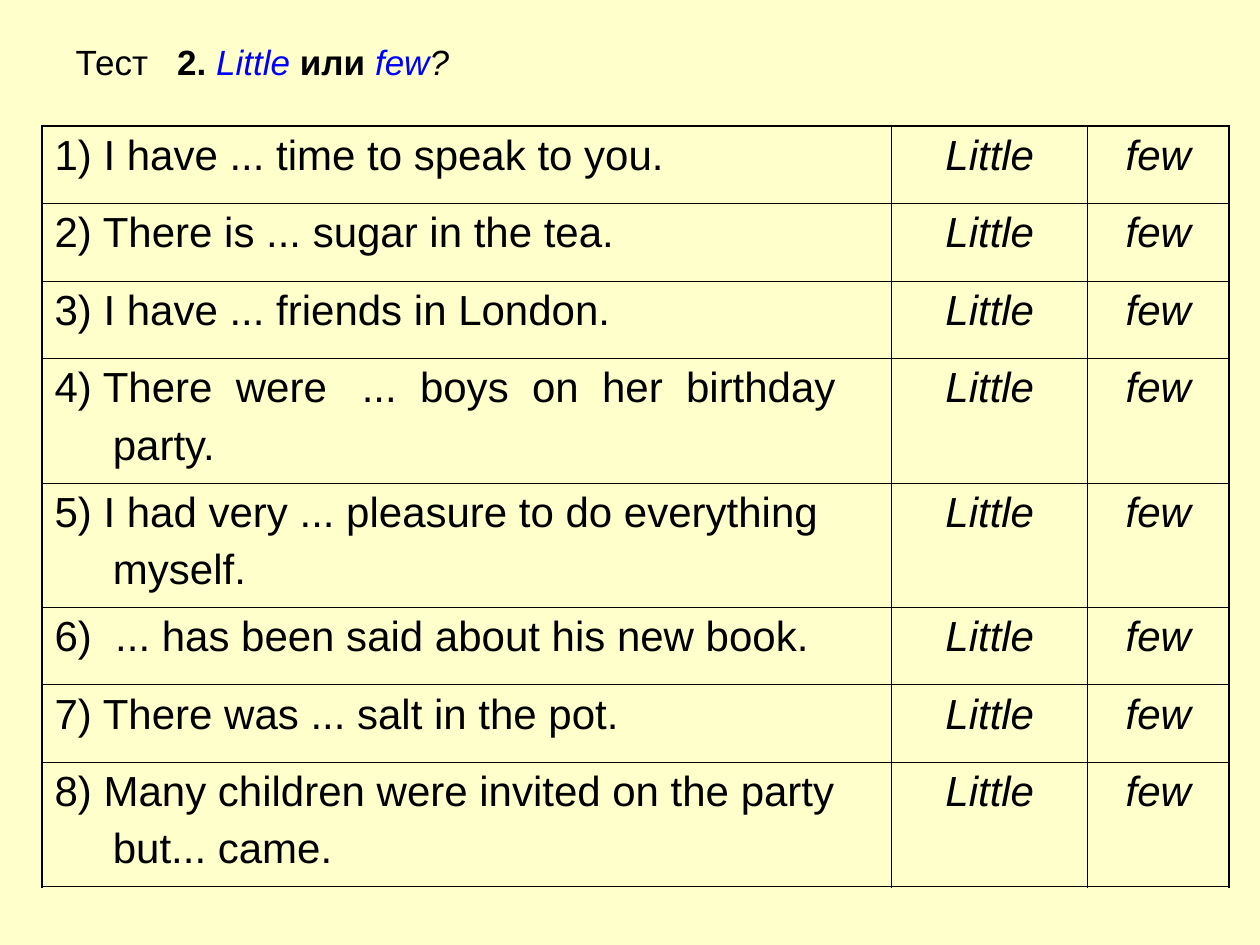
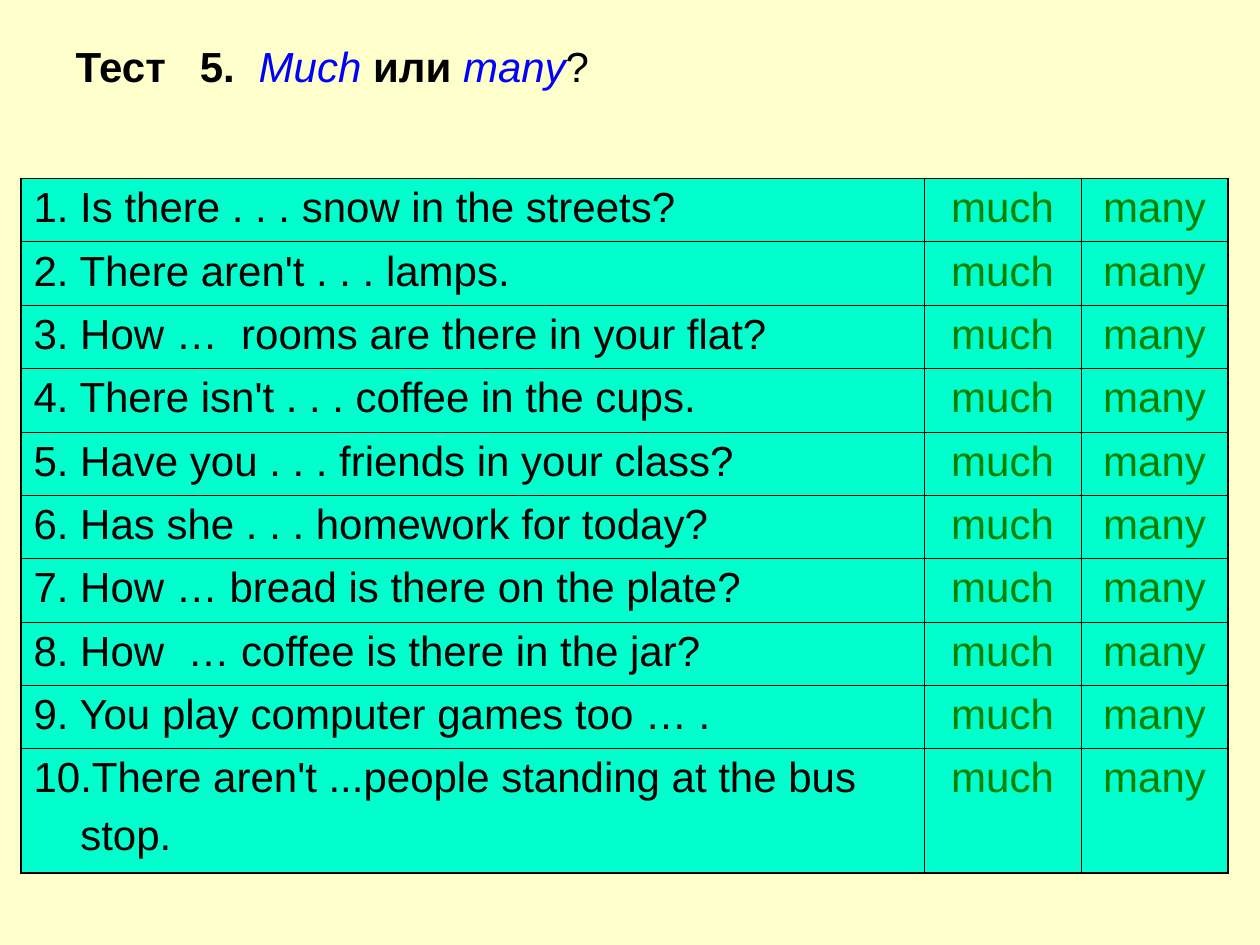
from lxml.etree import SubElement
from pptx import Presentation
from pptx.dml.color import RGBColor
from pptx.enum.text import MSO_ANCHOR, MSO_AUTO_SIZE, PP_ALIGN
from pptx.oxml.ns import qn
from pptx.util import Pt

BLACK, BLUE, GREEN, CREAM, MINT = "000000", "0000FF", "008000", "FFFFCC", "00FFCC"
FONT = "Arial"
TEXT_SIZE = 24
INNER_LINE, OUTER_LINE = 0.45, 1.08
TWO_LINE_ROW = 71.1

TESTS = [
    {
        "title": [
            ("Тест\t", BLACK, ""), ("2. ", BLACK, "b"), ("Little ", BLUE, "i"),
            ("или ", BLACK, "b"), ("few", BLUE, "i"), ("?", BLACK, "i"),
        ],
        "title_size": 20, "title_box": (36, 21.6, 240, 26.6), "title_tabs": [58],
        "questions": [
            ["1) I have ... time to speak to you."],
            ["2) There is ... sugar in the tea."],
            ["3) I have ... friends in London."],
            ["4) There  were   ...  boys  on  her  birthday", "party."],
            ["5) I had very ... pleasure to do everything", "myself."],
            ["6)  ... has been said about his new book."],
            ["7) There was ... salt in the pot."],
            ["8) Many children were invited on the party", "but... came."],
        ],
        "answers": ["Little", "few"], "answer_color": BLACK, "answer_italic": True,
        "fill": None, "left": 24, "top": 72, "columns": [485.6, 112, 80.6],
        "row_height": 44.3, "indent": 33.3,
    },
    {
        "title": [
            ("Тест\t5.\t", BLACK, "b"), ("Much ", BLUE, "i"), ("или ", BLACK, "b"),
            ("many", BLUE, "i"), ("?", BLACK, ""),
        ],
        "title_size": 24, "title_box": (36, 21.6, 354, 32.4), "title_tabs": [71, 104.6],
        "questions": [
            ["1. Is there . . . snow in the streets?"],
            ["2. There aren't . . . lamps."],
            ["3. How …  rooms are there in your flat?"],
            ["4. There isn't . . . coffee in the cups."],
            ["5. Have you . . . friends in your class?"],
            ["6. Has she . . . homework for today?"],
            ["7. How … bread is there on the plate?"],
            ["8. How  … coffee is there in the jar?"],
            ["9. You play computer games too … ."],
            ["10.There aren't ...people standing at the bus", "stop."],
        ],
        "answers": ["much", "many"], "answer_color": GREEN, "answer_italic": False,
        "fill": MINT, "left": 12, "top": 102, "columns": [516, 89.8, 84],
        "row_height": 36.2, "indent": 26.7,
    },
]


def color(value):
    return RGBColor.from_string(value)


def add_title(slide, test):
    title = slide.shapes.title
    title.left, title.top, title.width, title.height = map(Pt, test["title_box"])
    frame = title.text_frame
    frame.auto_size = MSO_AUTO_SIZE.NONE
    frame.word_wrap = True
    frame.vertical_anchor = MSO_ANCHOR.MIDDLE
    paragraph = frame.paragraphs[0]
    paragraph.alignment = PP_ALIGN.LEFT
    tab_list = SubElement(paragraph._p.get_or_add_pPr(), qn("a:tabLst"))
    for position in test["title_tabs"]:
        SubElement(tab_list, qn("a:tab"), pos=str(Pt(position)), algn="l")
    paragraph.font.name = FONT
    paragraph.font.size = Pt(test["title_size"])
    for text, text_color, style in test["title"]:
        run = paragraph.add_run()
        run.text = text
        run.font.color.rgb = color(text_color)
        run.font.bold = style == "b"
        run.font.italic = style == "i"


def set_borders(cell, row, column, last_row, last_column):
    properties = cell._tc.get_or_add_tcPr()
    outer_sides = {
        "a:lnL": column == 0, "a:lnR": column == last_column,
        "a:lnT": row == 0, "a:lnB": row == last_row,
    }
    for side, is_outer in outer_sides.items():
        width = Pt(OUTER_LINE if is_outer else INNER_LINE)
        line = SubElement(properties, qn(side), w=str(width))
        SubElement(SubElement(line, qn("a:solidFill")), qn("a:srgbClr"), val=BLACK)


def write_cell(cell, lines, text_color, italic, alignment, indent):
    frame = cell.text_frame
    for number, text in enumerate(lines):
        paragraph = frame.add_paragraph() if number else frame.paragraphs[0]
        paragraph.text = text
        paragraph.alignment = alignment
        if number:
            paragraph.space_before = Pt(6)
            paragraph._p.get_or_add_pPr().set("marL", str(Pt(indent)))
        paragraph.font.name = FONT
        paragraph.font.size = Pt(TEXT_SIZE)
        paragraph.font.italic = italic
        paragraph.font.color.rgb = color(text_color)


def add_question_table(slide, test):
    questions, columns = test["questions"], test["columns"]
    heights = [TWO_LINE_ROW if len(lines) > 1 else test["row_height"] for lines in questions]
    table = slide.shapes.add_table(
        len(questions), len(columns), Pt(test["left"]), Pt(test["top"]),
        Pt(sum(columns)), Pt(sum(heights)),
    ).table
    table.first_row = table.horz_banding = False
    for column, width in zip(table.columns, columns):
        column.width = Pt(width)
    for row_index, (question, height) in enumerate(zip(questions, heights)):
        table.rows[row_index].height = Pt(height)
        contents = [question] + [[answer] for answer in test["answers"]]
        for column_index, lines in enumerate(contents):
            cell = table.cell(row_index, column_index)
            set_borders(cell, row_index, column_index, len(questions) - 1, len(columns) - 1)
            if test["fill"]:
                cell.fill.solid()
                cell.fill.fore_color.rgb = color(test["fill"])
            else:
                cell.fill.background()
            if column_index:
                style = test["answer_color"], test["answer_italic"], PP_ALIGN.CENTER
            else:
                style = BLACK, False, PP_ALIGN.LEFT
            write_cell(cell, lines, *style, test["indent"])


def main():
    presentation = Presentation()
    presentation.slide_width, presentation.slide_height = Pt(720), Pt(540)
    background = presentation.slide_master.background.fill
    background.solid()
    background.fore_color.rgb = color(CREAM)
    for test in TESTS:
        slide = presentation.slides.add_slide(presentation.slide_layouts[5])
        add_title(slide, test)
        add_question_table(slide, test)
    presentation.save("out.pptx")


if __name__ == "__main__":
    main()
